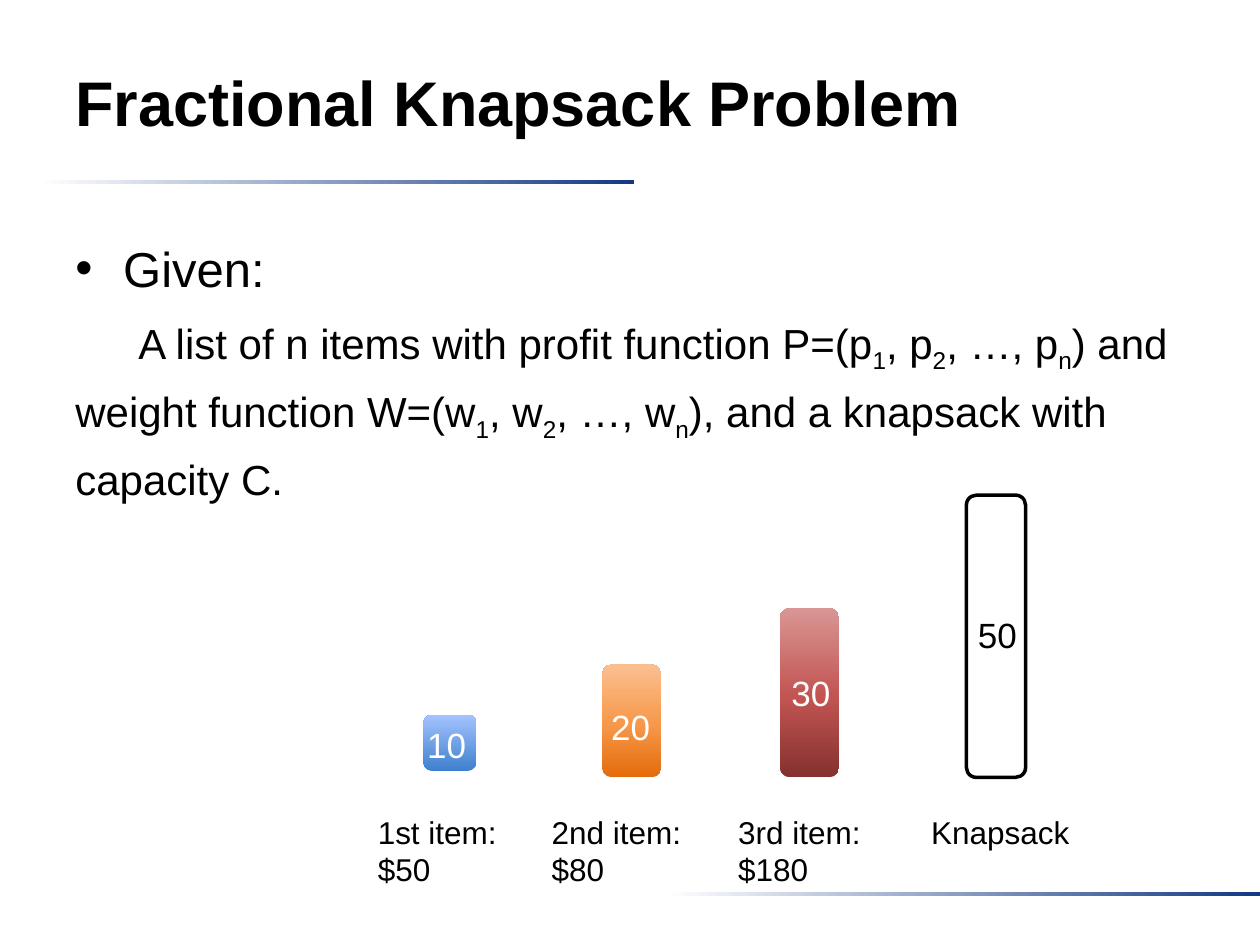
"""Build the Fractional Knapsack Problem slide."""
import copy
from dataclasses import dataclass

import lxml.etree
import pptx
import pptx.dml.color
import pptx.enum.shapes
import pptx.enum.text
import pptx.oxml.ns
import pptx.util


@dataclass(frozen=True)
class Theme:
    font: str = "Arial"
    ink: str = "000000"
    light: str = "FFFFFF"
    rule: tuple = ((0, "FFFFFF"), (1, "133984"))
    blue: tuple = ((0, "3F80CE"), (1, "A4C4FF"))
    orange: tuple = ((0, "E46C0A"), (0.48, "F7994C"), (1, "FAC090"))
    red: tuple = ((0, "85312F"), (0.48, "C25552"), (1, "D99694"))
    title: int = 36
    lead: int = 28
    body: int = 24
    number: int = 20
    label: int = 18


theme = Theme()
qn = pptx.oxml.ns.qn
rgb = pptx.dml.color.RGBColor.from_string
shapes = pptx.enum.shapes.MSO_SHAPE
align = pptx.enum.text.PP_ALIGN

deck = pptx.Presentation()
deck.slide_width = pptx.util.Inches(10)
deck.slide_height = pptx.util.Inches(7.5)
page = deck.slides.add_slide(deck.slide_layouts[6])
UNIT = deck.slide_width / 100  # the grid has 100 columns and 75 rows


def add_block(kind, cells, stops, angle):
    """Add a shape at grid cells, filled by gradient stops or outlined."""
    block = page.shapes.add_shape(kind, *[round(cell * UNIT) for cell in cells])
    block.shadow.inherit = False
    if not stops:
        block.fill.background()
        block.line.color.rgb = rgb(theme.ink)
        block.line.width = pptx.util.Pt(2)
        return
    block.line.fill.background()
    block.fill.gradient()
    block.fill.gradient_angle = angle
    stop_list = block.fill.gradient_stops
    first = block._element.spPr.find(".//" + qn("a:gs"))
    for _ in range(len(stops) - len(stop_list)):
        first.addnext(copy.deepcopy(first))
    for stop, (position, color) in zip(block.fill.gradient_stops, stops):
        stop.position = position
        stop.color.rgb = rgb(color)


def add_text(cells, lines, size, color=theme.ink, bold=False, wrap=True):
    """Add a text box; odd pieces of a line are subscripts."""
    box = page.shapes.add_textbox(*[round(cell * UNIT) for cell in cells])
    frame = box.text_frame
    frame.word_wrap = wrap
    for index, line in enumerate(lines):
        para = frame.paragraphs[0] if index == 0 else frame.add_paragraph()
        for place, piece in enumerate(line.split("_")):
            span = para.add_run()
            span.text = piece
            span.font.name = theme.font
            span.font.size = pptx.util.Pt(size)
            span.font.bold = bold
            span.font.color.rgb = rgb(color)
            if place % 2:
                span._r.get_or_add_rPr().set("baseline", "-25000")
    return frame


for left, top in ((3.1, 14.3), (52.8, 70.8)):
    add_block(shapes.RECTANGLE, (left, top, 47.2, 0.3), theme.rule, 0)

heading = add_text((5, 1.8, 77.3, 12.5), ["Fractional Knapsack Problem"], theme.title, bold=True)
heading.vertical_anchor = pptx.enum.text.MSO_ANCHOR.MIDDLE

statement = (
    "\tA list of n items with profit function P=(p_1_, p_2_, …, p_n_) and "
    "weight function W=(w_1_, w_2_, …, w_n_), and a knapsack with capacity C."
)
given, details = add_text((5, 17.5, 90, 26), ["Given:", statement], theme.body).paragraphs
given.line_spacing = details.line_spacing = 1.2
details.space_before = pptx.util.Pt(0.2 * theme.body)
given.runs[0].font.size = pptx.util.Pt(theme.lead)

hanging = round(3.8 * UNIT)
properties = given._p.get_or_add_pPr()
properties.set("marL", str(hanging))
properties.set("indent", str(-hanging))
lxml.etree.SubElement(properties, qn("a:buFont"), typeface=theme.font)
lxml.etree.SubElement(properties, qn("a:buChar"), char="•")
tabs = lxml.etree.SubElement(details._p.get_or_add_pPr(), qn("a:tabLst"))
lxml.etree.SubElement(tabs, qn("a:tab"), pos=str(round(5 * UNIT)), algn="l")

# weight, bar left, bar width, bar bottom, number left, number top, label left, label width
bars = (
    (10, 33.6, 4.2, 61.2, 32.9, 56.9, 29, 13, theme.blue, ["1st item:", "$50"]),
    (20, 47.8, 4.7, 61.7, 47.5, 55.5, 42.8, 14.6, theme.orange, ["2nd item:", "$80"]),
    (30, 61.9, 4.7, 61.7, 61.8, 52.8, 57.6, 14.6, theme.red, ["3rd item:", "$180"]),
    (50, 76.7, 4.7, 61.7, 76.6, 48.2, 72.1, 14.6, None, ["Knapsack"]),
)
for weight, left, width, bottom, number_left, number_top, label_left, label_width, stops, label in bars:
    height = 0.448 * weight
    add_block(shapes.ROUNDED_RECTANGLE, (left, bottom - height, width, height), stops, 90)
    color = theme.light if stops else theme.ink
    number = add_text(
        (number_left, number_top, 5.1, 3.3), [str(weight)], theme.number, color, wrap=False
    )
    number.paragraphs[0].alignment = align.CENTER
    caption = add_text((label_left, 64, label_width, 3 * len(label)), label, theme.label)
    if not stops:
        caption.paragraphs[0].alignment = align.CENTER

deck.save("out.pptx")
